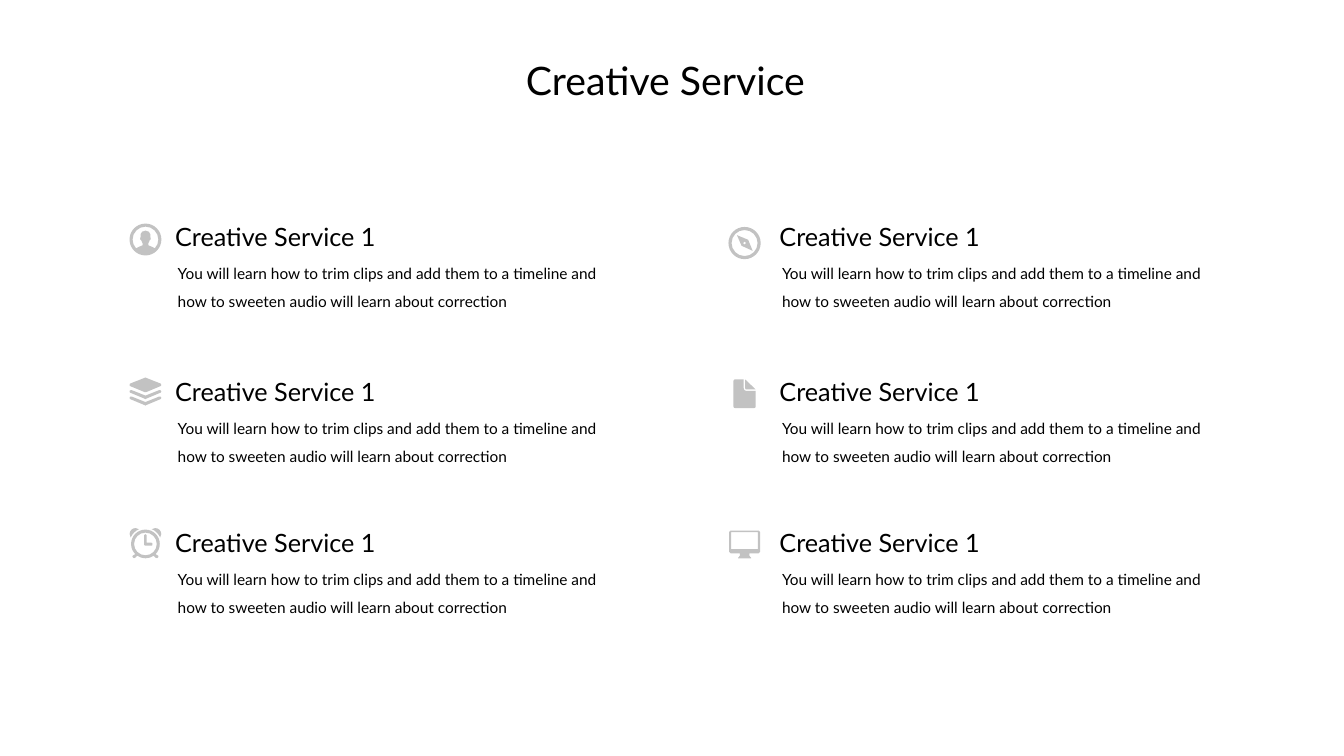
import math

import lxml.etree
import pptx
import pptx.dml.color
import pptx.enum.text
import pptx.oxml.ns
import pptx.util

FONT = "Lato"
BLACK = "000000"
GRAY = "C2C2C2"
HEADING = "Creative Service 1"
BODY = ("You will learn how to trim clips and add them to a timeline and "
        "how to sweeten audio will learn about correction")
COLUMN_LEFTS = (246.2, 1109.3)
ROW_TOPS = (312.5, 533.5, 749.8)
UNITS = 100


def color(hex_string):
    return pptx.dml.color.RGBColor.from_string(hex_string)


def arc(center_x, center_y, radius, start=0, end=360):
    quarters = [angle for angle in range(-360, 721, 90)
                if min(start, end) < angle < max(start, end)]
    stops = sorted([start, *quarters, end], reverse=start > end)

    def point(angle, tangent=0):
        cosine, sine = math.cos(math.radians(angle)), math.sin(math.radians(angle))
        return (center_x + radius * (cosine - tangent * sine),
                center_y + radius * (sine + tangent * cosine))

    steps = [point(start)]
    for first, last in zip(stops, stops[1:]):
        handle = 4 / 3 * math.tan(math.radians(last - first) / 4)
        steps.append(point(first, handle) + point(last, -handle) + point(last))
    return steps


def flip(steps, width):
    return [tuple(width - value if index % 2 == 0 else value
                  for index, value in enumerate(step)) for step in steps]


def mirror(points, width):
    return flip(points[::-1], width)


def shift_down(points, distance):
    return [(x, y + distance) for x, y in points]


def user_icon():
    center = 22.75
    left_half = [(22.75, 10.1), (18, 11.6), (15.8, 15.1), (15.8, 18.7), (15.1, 22.3),
                 (16.6, 23.8), (18.7, 28.1), (18.7, 31), (13.7, 33.1), (9.4, 35.3)]
    person = mirror(left_half, 2 * center) + left_half[1:-1]
    return [arc(center, center, center), arc(center, center, 18.4, 137, 403) + person[1:]]


def compass_icon():
    needle = [(18.7, 26.6), (12.2, 11.5), (28.1, 18), (34.6, 33.8)]
    return [arc(23, 22.7, 23), arc(23, 22.7, 18.6), needle, arc(23, 22.7, 2.2)]


def layers_icon():
    top = [(44.6, 12.2), (23.8, 20.9), (21.6, 20.9), (0.7, 12.2), (0, 10.8),
           (0.7, 8.8), (21.6, 0.5), (22.7, 0), (23.8, 0.5), (44.6, 8.8), (45.4, 10.8)]
    sheet = [(44.6, 21.6), (23.8, 30.3), (22.7, 31), (21.6, 30.3), (0.7, 21.6), (0, 20),
             (0.7, 18.4), (2.9, 18), (22.7, 25.9), (42.5, 18), (44.7, 18.4), (45.4, 20)]
    return [top, sheet, shift_down(sheet, 9.2)]


def document_icon():
    page = [(29.5, 41), (2.2, 41), (0.6, 40.4), (0, 38.9), (0, 2.2), (0.6, 0.6), (2.2, 0),
            (14.4, 0), (14.4, 12.2), (15.5, 15.4), (18.7, 16.6), (31.7, 16.6),
            (31.7, 38.9), (31.1, 40.4)]
    fold = [(18.7, 14.4), (17.2, 13.9), (16.6, 12.2), (16.6, 0), (31.7, 14.4)]
    return [page, fold]


def alarm_icon():
    center = 22.7
    right_leg = [(41, 39.6), (41.3, 41.2), (39.4, 43), (37.5, 42.5)]
    left_leg = mirror(right_leg, 2 * center)
    body = (arc(center, center, 20.5, 55, 125) + left_leg
            + arc(center, center, 20.5, 135, 405) + right_leg)
    hands = [(31, 25.2), (22.3, 25.2), (20.9, 23.8), (20.9, 10.1), (22.7, 8.7),
             (24.5, 10.1), (24.5, 20.9), (31, 20.9), (32.8, 21.5), (32.8, 24.5)]
    bell = arc(center, center, 23, -67, -25) + arc(36.8, 8.5, 8.5, 36, -126)
    return [body, arc(center, center, 16.2), hands, bell, flip(bell, 2 * center)]


def monitor_icon():
    right_foot = [(28.8, 32.4), (28.8, 36), (31.4, 38.9), (31.4, 39.6)]
    case = (arc(42, 2, 2, -90, 0) + arc(42, 30.4, 2, 0, 90) + right_foot
            + mirror(right_foot, 44) + arc(2, 30.4, 2, 90, 180) + arc(2, 2, 2, 180, 270))
    screen = [(2.9, 2.2), (41.1, 2.2), (41.1, 26.6), (2.9, 26.6)]
    return [case, screen]


def curve_lines(shape, contours):
    steps = [step for contour in contours for step in contour[1:]]
    ends = [step[-2:] for contour in contours for step in contour]
    left, top = (min(values) for values in zip(*ends))
    qualified = pptx.oxml.ns.qn
    for line, step in zip(list(shape.element.iter(qualified("a:lnTo"))), steps):
        if len(step) == 2:
            continue
        line.tag = qualified("a:cubicBezTo")
        for index, (x, y) in enumerate((step[:2], step[2:4])):
            control = lxml.etree.Element(qualified("a:pt"), x=str(round((x - left) * UNITS)),
                                         y=str(round((y - top) * UNITS)))
            line.insert(index, control)


def add_icon(slide, left, top, contours):
    ends = [[(step[-2] * UNITS, step[-1] * UNITS) for step in contour] for contour in contours]
    builder = slide.shapes.build_freeform(*ends[0][0], scale=pptx.util.Pt(1) / UNITS)
    for index, points in enumerate(ends):
        if index:
            builder.move_to(*points[0])
        builder.add_line_segments(points[1:], close=True)
    shape = builder.convert_to_shape(pptx.util.Pt(left), pptx.util.Pt(top))
    curve_lines(shape, contours)
    shape.shadow.inherit = False
    shape.fill.solid()
    shape.fill.fore_color.rgb = color(GRAY)
    shape.line.fill.background()


def add_text(slide, text, *, left, top, width, height, size, wrap=False, line_spacing=1.0):
    box = slide.shapes.add_textbox(*map(pptx.util.Pt, (left, top, width, height)))
    frame = box.text_frame
    frame.margin_left = frame.margin_right = pptx.util.Pt(4)
    frame.margin_top = frame.margin_bottom = pptx.util.Pt(4)
    frame.word_wrap = wrap
    frame.auto_size = pptx.enum.text.MSO_AUTO_SIZE.SHAPE_TO_FIT_TEXT
    frame.vertical_anchor = pptx.enum.text.MSO_ANCHOR.MIDDLE
    paragraph = frame.paragraphs[0]
    paragraph.line_spacing = line_spacing
    run = paragraph.add_run()
    run.text = text
    run.font.name = FONT
    run.font.size = pptx.util.Pt(size)
    run.font.color.rgb = color(BLACK)


def add_service(slide, left, top):
    add_text(slide, HEADING, left=left, top=top, width=306.7, height=51.1, size=36)
    add_text(slide, BODY, left=left + 3.6, top=top + 48.1, width=625.7, height=87.1,
             size=22, wrap=True, line_spacing=1.5)


def main():
    presentation = pptx.Presentation()
    presentation.slide_width = pptx.util.Pt(1919.52)
    presentation.slide_height = pptx.util.Pt(1080)
    slide = presentation.slides.add_slide(presentation.slide_layouts[6])

    icons = [
        (185, 319.4, user_icon()),
        (185, 539.3, layers_icon()),
        (185, 754.4, alarm_icon()),
        (1040.4, 324.5, compass_icon()),
        (1047.6, 542, document_icon()),
        (1041.5, 758, monitor_icon()),
    ]
    for left, top, contours in icons:
        add_icon(slide, left, top, contours)

    for left in COLUMN_LEFTS:
        for top in ROW_TOPS:
            add_service(slide, left, top)
    add_text(slide, "Creative Service", left=747, top=77, width=426.2, height=74.9, size=56)

    presentation.save("out.pptx")


if __name__ == "__main__":
    main()
